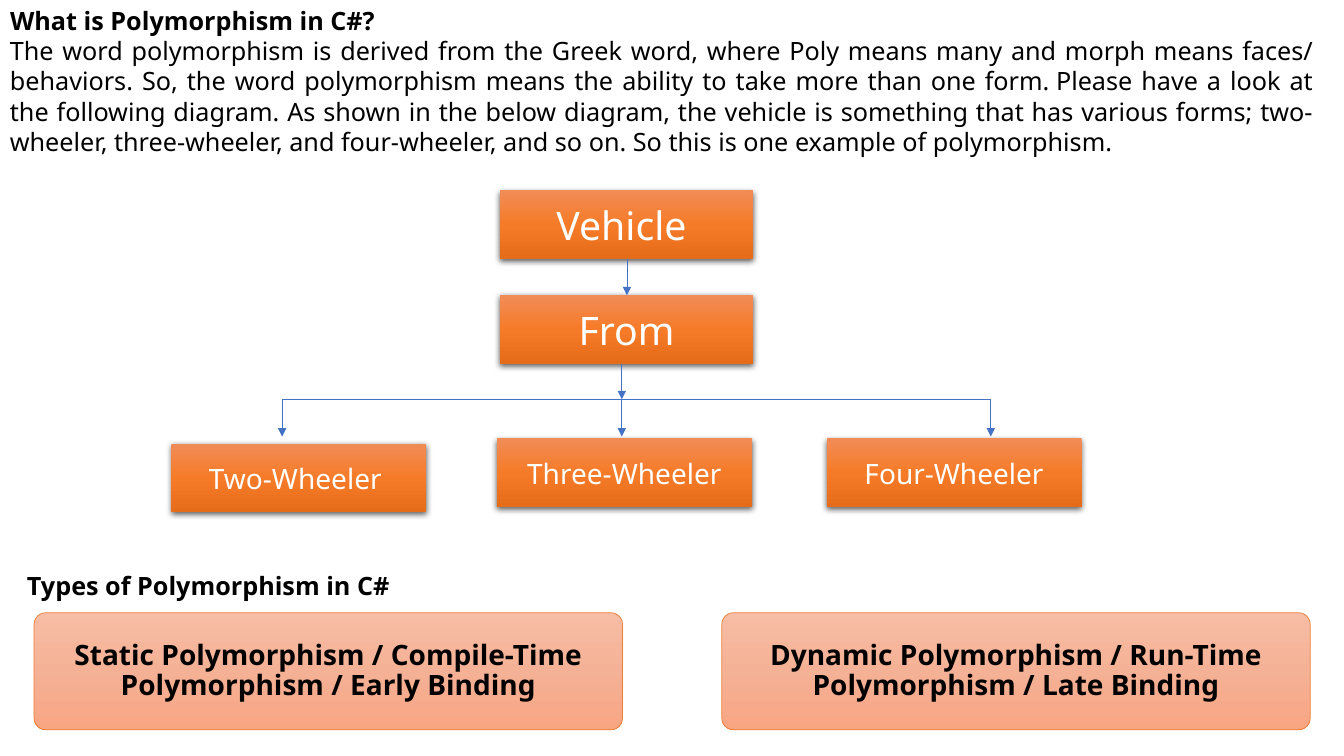
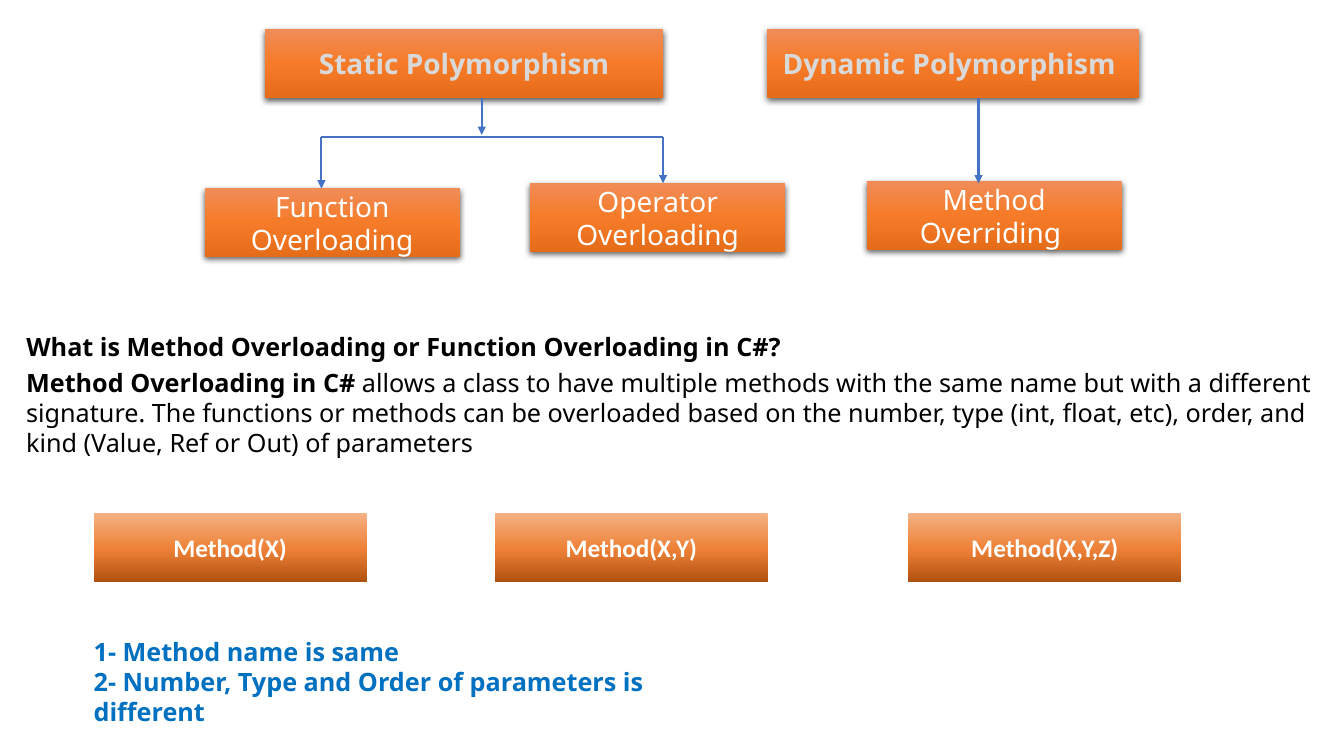
import pptx
import pptx.util
import pptx.dml.color
import pptx.enum.shapes
import pptx.enum.text
import pptx.oxml
import pptx.oxml.ns

Cm = pptx.util.Cm
Pt = pptx.util.Pt
ALIGN = pptx.enum.text.PP_ALIGN
ANCHOR = pptx.enum.text.MSO_ANCHOR
SHAPE = pptx.enum.shapes.MSO_SHAPE

COLORS = {
    "text": "000000",
    "light": "FFFFFF",
    "muted": "D9D9D9",
    "note": "0070C0",
    "arrow": "4472C4",
    "card_edge": "ED7D31",
}
# Each gradient runs from top to bottom: (percent, colour).
GRADIENTS = {
    "node": [(0, "F18C57"), (50, "F67B28"), (100, "E56C19")],
    "card": [(0, "F7BDA5"), (50, "F5B196"), (100, "F8A582")],
    "method": [(0, "F4B183"), (52, "EE8137"), (100, "B0500F")],
}
FONT = "Noto Sans"
METHOD_FONT = "Calibri"
NODE_HEIGHT = 1.73
LEAF_WIDTH = 6.43


def rgb(name):
    """Return the named colour."""
    return pptx.dml.color.RGBColor.from_string(COLORS[name])


def element(tag, body="", **attributes):
    """Build one DrawingML element."""
    listed = "".join(f' {key}="{value}"' for key, value in attributes.items())
    namespace = pptx.oxml.ns.nsdecls("a")
    return pptx.oxml.parse_xml(f"<a:{tag} {namespace}{listed}>{body}</a:{tag}>")


def add_run(paragraph, text, size=18, color="text", bold=False, font=FONT):
    """Add one formatted run to a paragraph."""
    run = paragraph.add_run()
    run.text = text
    run.font.name = font
    run.font.size = Pt(size)
    run.font.bold = bold
    run.font.color.rgb = rgb(color)


def place(shape, left, top, width, height):
    """Move and size a shape, in centimetres."""
    shape.left, shape.top = Cm(left), Cm(top)
    shape.width, shape.height = Cm(width), Cm(height)


def add_title(slide, text, at, align=ALIGN.LEFT):
    """Fill and format the title placeholder."""
    title = slide.shapes.title
    place(title, *at)
    frame = title.text_frame
    frame.word_wrap = True
    frame.auto_size = pptx.enum.text.MSO_AUTO_SIZE.NONE
    frame.vertical_anchor = ANCHOR.TOP
    frame.paragraphs[0].alignment = align
    add_run(frame.paragraphs[0], text, bold=True)


def add_text(slide, paragraphs, at, align=ALIGN.LEFT, color="text"):
    """Add a text box; each paragraph is a list of (text, bold) runs."""
    frame = slide.shapes.add_textbox(*map(Cm, at)).text_frame
    frame.word_wrap = True
    for index, runs in enumerate(paragraphs):
        paragraph = frame.add_paragraph() if index else frame.paragraphs[0]
        paragraph.alignment = align
        for text, bold in runs:
            add_run(paragraph, text, color=color, bold=bold)


def add_block(slide, kind, gradient, at, text, **style):
    """Add a gradient-filled shape with centred text."""
    block = slide.shapes.add_shape(kind, *map(Cm, at))
    block.shadow.inherit = False
    block.line.fill.background()
    stops = "".join(
        f'<a:gs pos="{percent * 1000}"><a:srgbClr val="{color}"/></a:gs>'
        for percent, color in GRADIENTS[gradient])
    fill = element("gradFill", f'<a:gsLst>{stops}</a:gsLst><a:lin ang="5400000" scaled="0"/>',
                   rotWithShape=1)
    block._element.spPr.find(pptx.oxml.ns.qn("a:prstGeom")).addnext(fill)
    frame = block.text_frame
    frame.word_wrap = True
    frame.vertical_anchor = ANCHOR.MIDDLE
    frame.paragraphs[0].alignment = ALIGN.CENTER
    add_run(frame.paragraphs[0], text, **style)
    return block


def add_node(slide, left, top, width, text, size=20, color="light", bold=False):
    """Add a diagram node with a soft shadow below it."""
    node = add_block(slide, SHAPE.RECTANGLE, "node", (left, top, width, NODE_HEIGHT), text,
                     size=size, color=color, bold=bold)
    shadow = element("outerShdw", '<a:srgbClr val="000000"><a:alpha val="63000"/></a:srgbClr>',
                     blurRad=Pt(4.5), dist=Pt(1.5), dir=5400000, algn="ctr", rotWithShape=0)
    node._element.spPr.find(pptx.oxml.ns.qn("a:effectLst")).append(shadow)


def add_card(slide, left, top, text):
    """Add a rounded card that names one type of polymorphism."""
    card = add_block(slide, SHAPE.ROUNDED_RECTANGLE, "card", (left, top, 14.83, 2.95), text,
                     size=20, bold=True)
    card.adjustments[0] = 0.1
    card.line.color.rgb = rgb("card_edge")
    card.line.width = Pt(0.5)
    frame = card.text_frame
    frame.margin_left = frame.margin_right = Cm(0.3)
    frame.paragraphs[0].line_spacing = 0.9


def add_line(slide, start, end, weight, arrow=True):
    """Add a straight connector, with an arrowhead unless told otherwise."""
    line = slide.shapes.add_connector(pptx.enum.shapes.MSO_CONNECTOR.STRAIGHT,
                                      *map(Cm, start + end))
    line.line.color.rgb = rgb("arrow")
    line.line.width = Pt(weight)
    properties = line._element.spPr
    if arrow:
        properties.find(pptx.oxml.ns.qn("a:ln")).append(element("tailEnd", type="triangle"))
    properties.append(element("effectLst"))


def add_fork(slide, bar_y, ends, weight):
    """Add a horizontal bar with an arrow down to each (x, y) end."""
    add_line(slide, (ends[0][0], bar_y), (ends[-1][0], bar_y), weight, arrow=False)
    for x, y in ends:
        add_line(slide, (x, bar_y), (x, y), weight)


def build_definition(slide):
    """Explain polymorphism with the vehicle example and list its types."""
    add_title(slide, "What is Polymorphism in C#?", (0, 0, 33.35, 1.02))
    add_text(slide, [[(
        "The word polymorphism is derived from the Greek word, where Poly means many and "
        "morph means faces/ behaviors. So, the word polymorphism means the ability to take "
        "more than one form.\u00a0Please have a look at the following diagram. As shown in the "
        "below diagram, the vehicle is something that has various forms; two-wheeler, "
        "three-wheeler, and four-wheeler, and so on. So this is one example of polymorphism.",
        False)]], (0, 0.77, 33.35, 3.35), ALIGN.JUSTIFY)

    for top, text in ((4.8, "Vehicle "), (7.44, "From")):
        add_node(slide, 12.6, top, 6.38, text, size=28)
    for left, top, text in ((4.32, 11.18, "Two-Wheeler "), (12.52, 11.05, "Three-Wheeler"),
                            (20.83, 11.05, "Four-Wheeler")):
        add_node(slide, left, top, LEAF_WIDTH, text)
    add_line(slide, (15.8, 6.53), (15.8, 7.44), 0.5)
    add_line(slide, (15.67, 9.17), (15.67, 10.06), 0.5)
    add_fork(slide, 10.06, [(x, 11) for x in (7.11, 15.67, 24.97)], 0.5)

    add_text(slide, [[("Types of Polymorphism in C#", True)]], (0.43, 14.25, 16.99, 1.02))
    add_card(slide, 0.86, 15.44, "Static Polymorphism / Compile-Time Polymorphism / Early Binding")
    add_card(slide, 18.19, 15.44, "Dynamic Polymorphism / Run-Time Polymorphism / Late Binding")


def build_overloading(slide):
    """Show the kinds of polymorphism and explain method overloading."""
    for left, width, text in ((6.68, 10.03, "Static Polymorphism"),
                              (19.33, 9.37, "Dynamic Polymorphism\u00a0")):
        add_node(slide, left, 0.74, width, text, color="muted", bold=True)
    for left, top, text in ((5.16, 4.75, "Function Overloading"),
                            (13.36, 4.62, "Operator Overloading"),
                            (21.84, 4.57, "Method Overriding ")):
        add_node(slide, left, top, LEAF_WIDTH, text)
    add_line(slide, (12.14, 2.47), (12.14, 3.4), 1.5)
    add_fork(slide, 3.45, [(8.1, 4.75), (16.71, 4.62)], 1.5)
    add_line(slide, (24.66, 2.47), (24.66, 4.62), 1.5)

    add_title(slide, "What is Method Overloading or Function Overloading in C#?",
              (0.41, 8.23, 22.5, 1.02), ALIGN.JUSTIFY)
    add_text(slide, [[
        ("Method Overloading in C#", True),
        ("\u00a0allows a class to have multiple methods with the same name but with a different "
         "signature. The functions or methods can be overloaded based on the number, type "
         "(int, float, etc), order, and kind (Value, Ref or Out) of parameters", False),
    ]], (0.41, 9.12, 33.46, 2.57))

    for left, text in ((2.36, "Method(X)"), (12.47, "Method(X,Y)"), (22.89, "Method(X,Y,Z)")):
        add_block(slide, SHAPE.RECTANGLE, "method", (left, 12.93, 6.88, 1.75), text,
                  color="light", bold=True, font=METHOD_FONT)
    add_text(slide, [[("1- Method name is same ", True)],
                     [("2- Number, Type and Order of parameters is different ", True)]],
             (2.11, 15.9, 17.02, 1.8), color="note")


def main():
    """Build and save the presentation."""
    deck = pptx.Presentation()
    deck.slide_width, deck.slide_height = Cm(33.87), Cm(19.05)
    title_only = deck.slide_layouts.get_by_name("Title Only")
    for build in (build_definition, build_overloading):
        build(deck.slides.add_slide(title_only))
    deck.save("out.pptx")


main()
